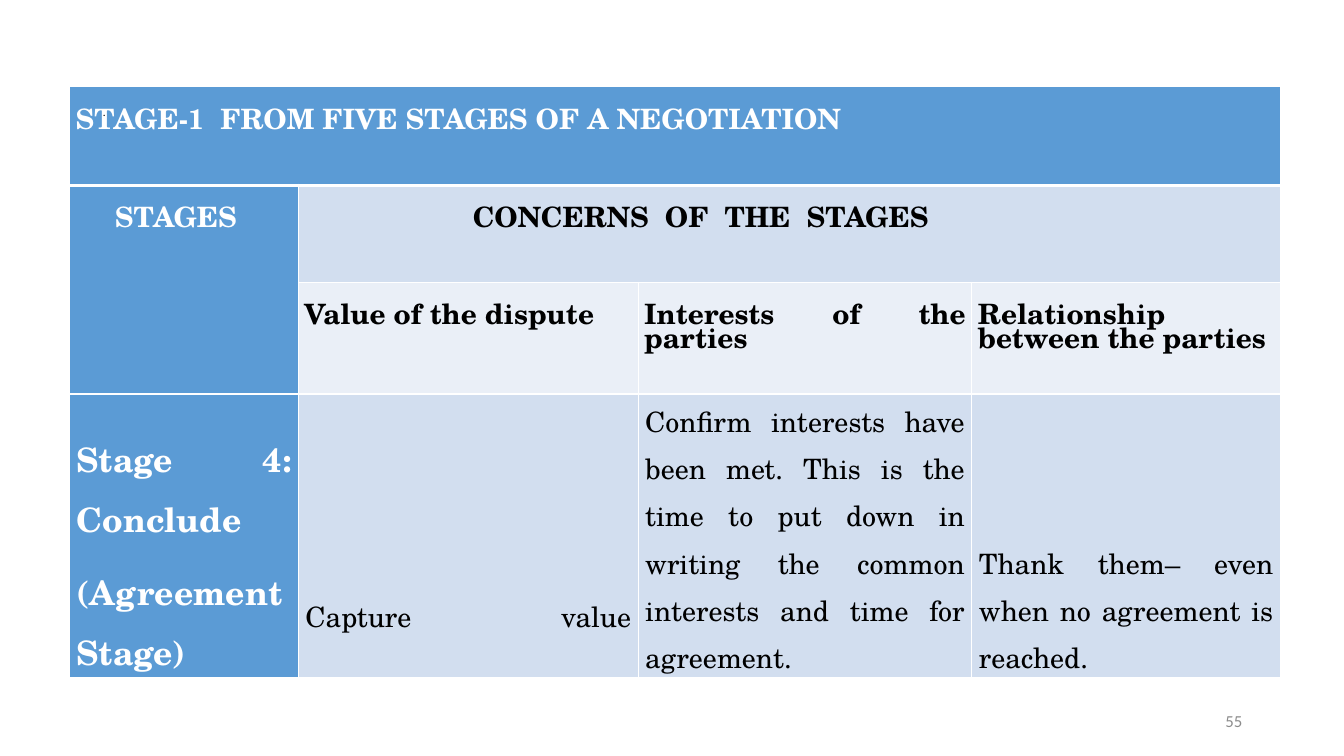
from dataclasses import dataclass

from lxml import etree
from pptx import Presentation
from pptx.dml.color import RGBColor
from pptx.enum.text import MSO_ANCHOR, PP_ALIGN
from pptx.oxml.ns import qn
from pptx.util import Inches, Pt

JUSTIFY, LEFT, RIGHT = PP_ALIGN.JUSTIFY, PP_ALIGN.LEFT, PP_ALIGN.RIGHT
TOP, MIDDLE, BOTTOM = MSO_ANCHOR.TOP, MSO_ANCHOR.MIDDLE, MSO_ANCHOR.BOTTOM


@dataclass(frozen=True)
class Theme:
    table_font: str = "TeX Gyre Schola"
    plain_font: str = "Calibri"
    white: str = "FFFFFF"
    black: str = "000000"
    grey: str = "8C8C8C"
    blue: str = "5B9BD5"
    band: str = "D2DEEF"
    pale: str = "EAEFF7"
    stage_size: int = 24
    table_size: int = 20
    number_size: int = 12
    title_size: int = 8


THEME = Theme()
COLUMN_WIDTHS = (2.27, 3.37, 3.31, 3.06)
ROW_HEIGHTS = (0.98, 0.96, 1.11, 2.21)
HEADING_TOP = 0.29
CONCERNS = ("Value of the dispute", "Interests of the parties",
            "Relationship between the parties")
STAGE = ("Stage 4: Conclude", "(Agreement Stage)")
ACTIONS = (
    "Capture value\v",
    "Confirm interests have been met. This is the time to put down in writing "
    "the common interests and time for agreement.",
    "Thank them– even when no agreement is reached.",
)


def style_font(paragraph, name, size, color, bold=False):
    font = paragraph.font
    font.name, font.size, font.bold = name, Pt(size), bold
    font.color.rgb = RGBColor.from_string(color)


def set_borders(cell, bottom_width):
    properties = cell._tc.get_or_add_tcPr()
    for side in "LRTB":
        width = bottom_width if side == "B" else 1
        line = etree.SubElement(properties, qn(f"a:ln{side}"), w=str(Pt(width)))
        fill = etree.SubElement(line, qn("a:solidFill"))
        etree.SubElement(fill, qn("a:srgbClr"), val=THEME.white)


def fill_cell(cell, texts, fill, color, size=THEME.table_size, bold=True):
    cell.fill.solid()
    cell.fill.fore_color.rgb = RGBColor.from_string(fill)
    cell.margin_top = cell.margin_bottom = 0
    frame = cell.text_frame
    for index, text in enumerate(texts):
        paragraph = frame.add_paragraph() if index else frame.paragraphs[0]
        paragraph.text = text
        paragraph.alignment = JUSTIFY
        style_font(paragraph, THEME.table_font, size, color, bold)


def add_heading(cell, text, fill, color, indent=0.06):
    fill_cell(cell, [text], fill, color)
    cell.vertical_anchor = TOP
    cell.margin_top = Inches(HEADING_TOP)
    cell.margin_left, cell.margin_right = Inches(indent), Inches(0.06)
    cell.text_frame.paragraphs[0].line_spacing = Pt(16.8)


def add_body(cell, texts, fill, color, **font):
    fill_cell(cell, texts, fill, color, **font)
    cell.vertical_anchor = BOTTOM
    cell.margin_left = cell.margin_right = Inches(0.07)
    for paragraph in cell.text_frame.paragraphs:
        paragraph.line_spacing = 1.15
        paragraph.space_after = Pt(10)


def add_stage_table(slide):
    table = slide.shapes.add_table(
        len(ROW_HEIGHTS), len(COLUMN_WIDTHS), Inches(0.69), Inches(0.86),
        Inches(sum(COLUMN_WIDTHS)), Inches(sum(ROW_HEIGHTS))).table
    table.first_row = table.horz_banding = False
    for column, width in zip(table.columns, COLUMN_WIDTHS):
        column.width = Inches(width)
    for index, (row, height) in enumerate(zip(table.rows, ROW_HEIGHTS)):
        row.height = Inches(height)
        for cell in row.cells:
            set_borders(cell, 1 if index else 3)

    table.cell(0, 0).merge(table.cell(0, 3))
    table.cell(1, 0).merge(table.cell(2, 0))
    table.cell(1, 1).merge(table.cell(1, 3))
    add_heading(table.cell(0, 0), "STAGE-1  FROM FIVE STAGES OF A NEGOTIATION",
                THEME.blue, THEME.white)
    add_heading(table.cell(1, 0), "STAGES", THEME.blue, THEME.white, indent=0.45)
    add_heading(table.cell(1, 1), "CONCERNS  OF  THE  STAGES",
                THEME.band, THEME.black, indent=1.73)
    add_body(table.cell(3, 0), STAGE, THEME.blue, THEME.white, size=THEME.stage_size)
    for column, (concern, action) in enumerate(zip(CONCERNS, ACTIONS), start=1):
        add_heading(table.cell(2, column), concern, THEME.pale, THEME.black)
        add_body(table.cell(3, column), [action], THEME.band, THEME.black, bold=False)


def set_line(shape, text, size, color, alignment):
    frame = shape.text_frame
    frame.word_wrap = True
    frame.vertical_anchor = MIDDLE
    paragraph = frame.paragraphs[0]
    paragraph.text = text
    paragraph.alignment = alignment
    style_font(paragraph, THEME.plain_font, size, color)


def format_title(slide):
    """Place the title in front of the table."""
    title = slide.shapes.title
    title.left, title.top = Inches(0.92), Inches(0.4)
    title.width, title.height = Inches(11.5), Inches(1.45)
    set_line(title, ".", THEME.title_size, THEME.black, LEFT)
    title.text_frame.paragraphs[0].line_spacing = 0.9
    slide.shapes.element.append(title.element)


def add_slide_number(slide):
    box = slide.shapes.add_textbox(Inches(9.42), Inches(6.95), Inches(3), Inches(0.4))
    set_line(box, "55", THEME.number_size, THEME.grey, RIGHT)


def main():
    presentation = Presentation()
    presentation.slide_width, presentation.slide_height = Inches(13.33), Inches(7.5)
    slide = presentation.slides.add_slide(presentation.slide_layouts[5])
    add_stage_table(slide)
    format_title(slide)
    add_slide_number(slide)
    presentation.save("out.pptx")


if __name__ == "__main__":
    main()
